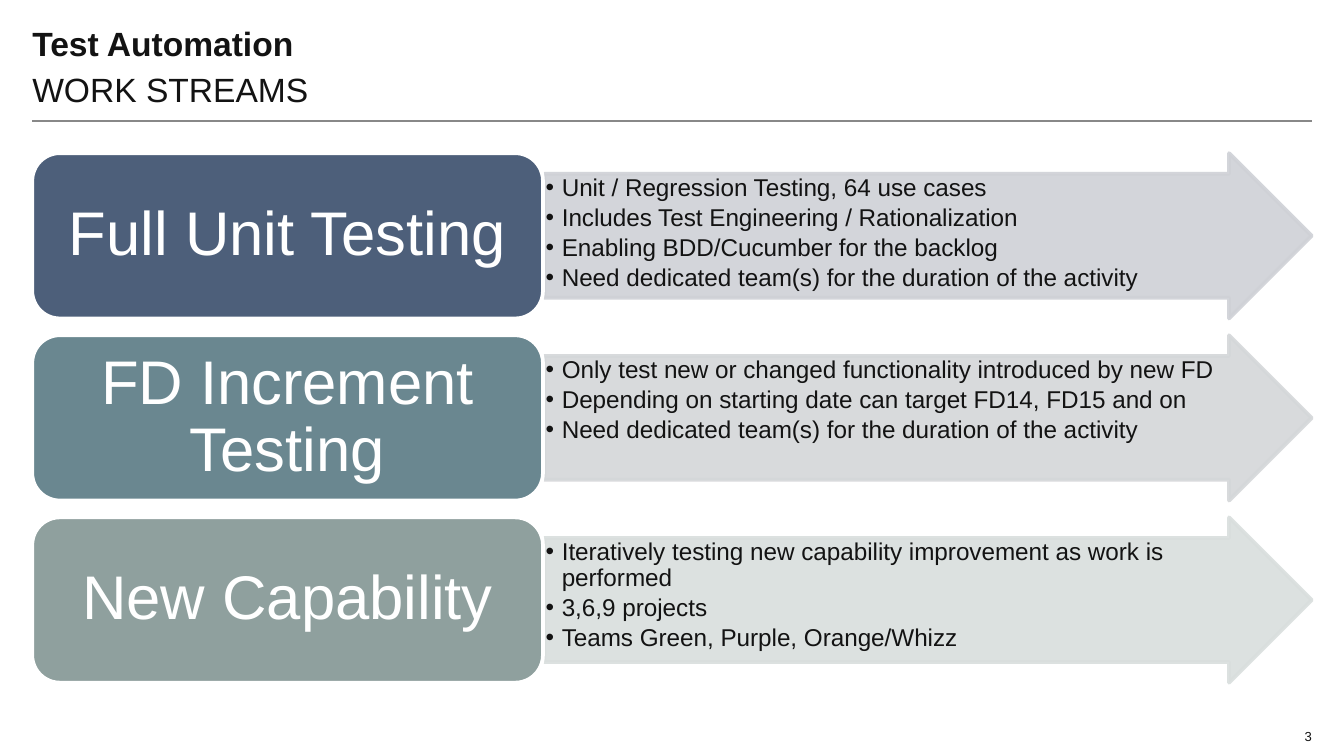
from dataclasses import dataclass

from lxml.etree import SubElement
from pptx import Presentation
from pptx.dml.color import RGBColor
from pptx.enum.shapes import MSO_CONNECTOR, MSO_SHAPE
from pptx.enum.text import MSO_ANCHOR, PP_ALIGN
from pptx.oxml.ns import qn
from pptx.util import Inches, Pt

TITLE = "Test Automation"
SUBTITLE = "WORK STREAMS"
PAGE_NUMBER = "3"
STREAMS = [
    ("Full Unit Testing", "4D5F7A", "CFD1D6", [
        "Unit / Regression Testing, 64 use cases",
        "Includes Test Engineering / Rationalization",
        "Enabling BDD/Cucumber for the backlog",
        "Need dedicated team(s) for the duration of the activity",
    ]),
    ("FD Increment Testing", "6A8790", "D4D7D9", [
        "Only test new or changed functionality introduced by new FD",
        "Depending on starting date can target FD14, FD15 and on",
        "Need dedicated team(s) for the duration of the activity",
    ]),
    ("New Capability", "8FA09E", "D9DEDD", [
        "Iteratively testing new capability improvement as work is performed",
        "3,6,9 projects",
        "Teams Green, Purple, Orange/Whizz",
    ]),
]


@dataclass(frozen=True)
class Theme:
    """Colours, font and type sizes of the slide."""
    font: str = "Arial"
    ink: str = "131313"
    white: str = "FFFFFF"
    rule: str = "888888"
    heading_size: int = 18
    label_size: int = 33
    bullet_size: int = 13
    page_size: int = 7


THEME = Theme()
SLIDE_WIDTH = 10
SLIDE_HEIGHT = SLIDE_WIDTH * 9 / 16
LEFT, RIGHT = 0.24, 9.76
LABEL_WIDTH, ARROW_LEFT = 3.8, 4.05
FIRST_TOP, LAST_TOP, ROW_HEIGHT = 1.14, 3.85, 1.23
ROW_PITCH = (LAST_TOP - FIRST_TOP) / (len(STREAMS) - 1)


def set_frame(shape, anchor, horizontal=0, vertical=0):
    """Wrap the text of a shape, anchor it and set its insets."""
    frame = shape.text_frame
    frame.word_wrap = True
    frame.vertical_anchor = anchor
    frame.margin_left = frame.margin_right = Inches(horizontal)
    frame.margin_top = frame.margin_bottom = Inches(vertical)
    return frame


def add_run(paragraph, text, size, color=THEME.ink, bold=False):
    """Add one formatted run to a paragraph."""
    run = paragraph.add_run()
    run.text = text
    run.font.name = THEME.font
    run.font.size = Pt(size)
    run.font.bold = bold
    run.font.color.rgb = RGBColor.from_string(color)


def add_text(slide, box, text, size, anchor=MSO_ANCHOR.MIDDLE,
             alignment=PP_ALIGN.LEFT, bold=False):
    """Add a one-line text box without insets."""
    text_box = slide.shapes.add_textbox(*map(Inches, box))
    paragraph = set_frame(text_box, anchor).paragraphs[0]
    paragraph.alignment = alignment
    add_run(paragraph, text, size, bold=bold)


def add_block(slide, kind, box, fill, line, adjustments):
    """Add a filled and outlined preset shape without shadow."""
    shape = slide.shapes.add_shape(kind, *map(Inches, box))
    shape.shadow.inherit = False
    for index, value in enumerate(adjustments):
        shape.adjustments[index] = value
    shape.fill.solid()
    shape.fill.fore_color.rgb = RGBColor.from_string(fill)
    shape.line.color.rgb = RGBColor.from_string(line)
    shape.line.width = Pt(2)
    return shape


def set_opacity(shape, percent):
    """Make the fill and the line of a shape partly transparent."""
    for color in shape.element.spPr.iter(qn("a:srgbClr")):
        SubElement(color, qn("a:alpha")).set("val", str(percent * 1000))


def add_bullets(frame, items):
    """Write a bulleted list with hanging indents."""
    for index, item in enumerate(items):
        paragraph = frame.paragraphs[0] if index == 0 else frame.add_paragraph()
        paragraph.alignment = PP_ALIGN.LEFT
        paragraph.level = 1
        paragraph.line_spacing = 0.9
        paragraph.space_before = Pt(2 if index else 0)
        properties = paragraph._p.get_or_add_pPr()
        properties.set("marL", str(Inches(0.12)))
        properties.set("indent", str(-Inches(0.12)))
        bullet_color = SubElement(properties, qn("a:buClr"))
        SubElement(bullet_color, qn("a:srgbClr")).set("val", THEME.ink)
        SubElement(properties, qn("a:buFont")).set("typeface", THEME.font)
        SubElement(properties, qn("a:buChar")).set("char", "•")
        add_run(paragraph, item, THEME.bullet_size)


def add_stream(slide, top, label, label_fill, arrow_fill, items):
    """Add one work stream: an arrow with bullets and its label."""
    arrow = add_block(slide, MSO_SHAPE.RIGHT_ARROW,
                      (ARROW_LEFT, top, RIGHT - ARROW_LEFT, ROW_HEIGHT),
                      arrow_fill, arrow_fill, (0.75, 0.5))
    set_opacity(arrow, 90)
    add_bullets(set_frame(arrow, MSO_ANCHOR.TOP, 0.01, 0.01), items)

    block = add_block(slide, MSO_SHAPE.ROUNDED_RECTANGLE,
                      (LEFT, top, LABEL_WIDTH, ROW_HEIGHT),
                      label_fill, THEME.white, (0.167,))
    paragraph = set_frame(block, MSO_ANCHOR.MIDDLE, 0.14, 0.07).paragraphs[0]
    paragraph.alignment = PP_ALIGN.CENTER
    paragraph.line_spacing = 0.9
    add_run(paragraph, label, THEME.label_size, THEME.white)


def add_rule(slide, top):
    """Add the thin line below the headings."""
    rule = slide.shapes.add_connector(MSO_CONNECTOR.STRAIGHT, Inches(LEFT),
                                      Inches(top), Inches(RIGHT), Inches(top))
    rule.line.color.rgb = RGBColor.from_string(THEME.rule)
    rule.line.width = Pt(0.75)
    SubElement(rule.element.spPr, qn("a:effectLst"))


def build():
    """Build and save the presentation."""
    presentation = Presentation()
    presentation.slide_width = Inches(SLIDE_WIDTH)
    presentation.slide_height = Inches(SLIDE_HEIGHT)
    slide = presentation.slides.add_slide(presentation.slide_layouts[6])
    add_rule(slide, 0.9)
    add_text(slide, (LEFT, 0.15, 7.25, 0.34), TITLE, THEME.heading_size, bold=True)
    add_text(slide, (LEFT, 0.51, 7.25, 0.31), SUBTITLE, THEME.heading_size)
    for index, stream in enumerate(STREAMS):
        add_stream(slide, FIRST_TOP + index * ROW_PITCH, *stream)
    add_text(slide, (8.97, 5.11, 0.79, 0.43), PAGE_NUMBER, THEME.page_size,
             MSO_ANCHOR.BOTTOM, PP_ALIGN.RIGHT)
    presentation.save("out.pptx")


build()
